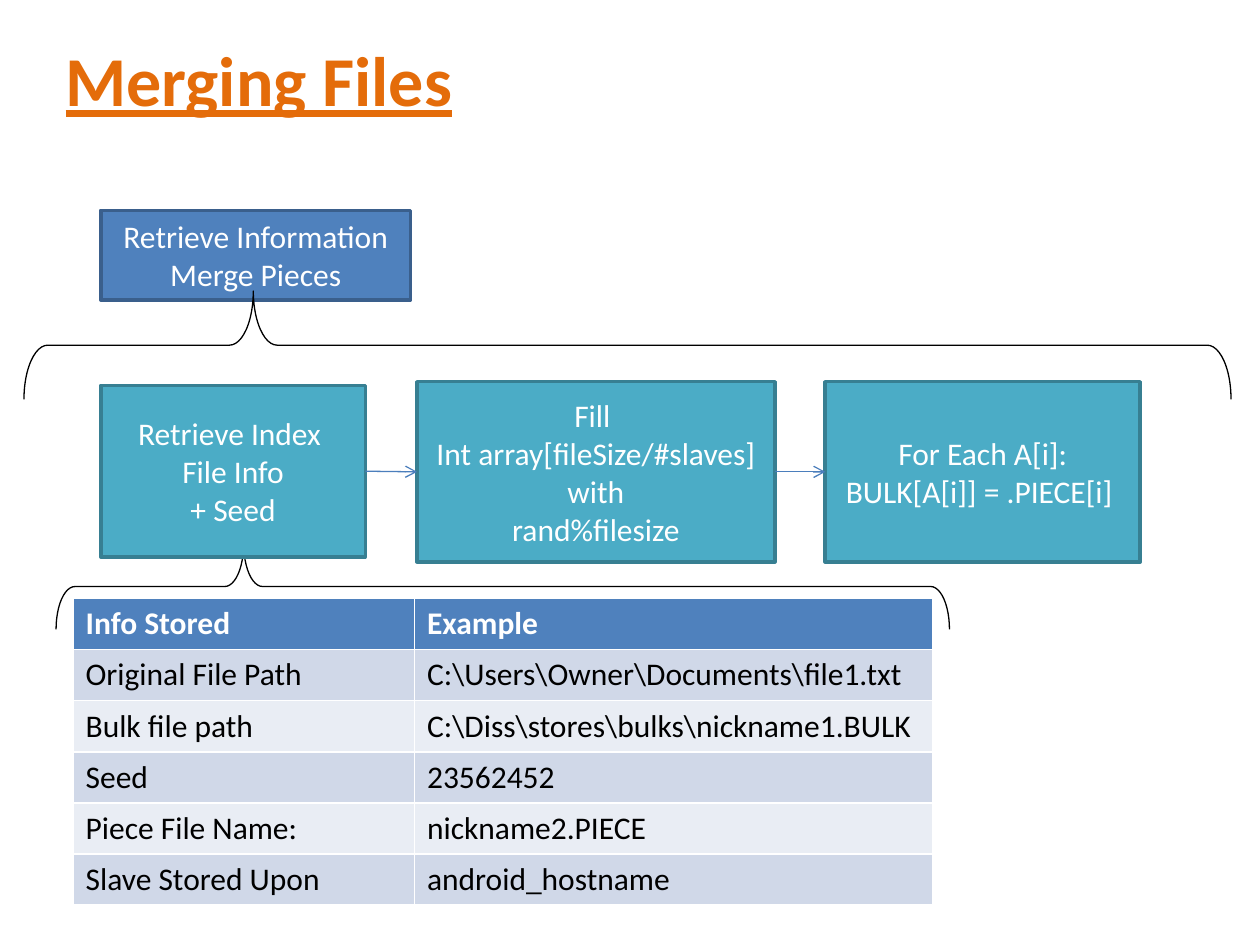
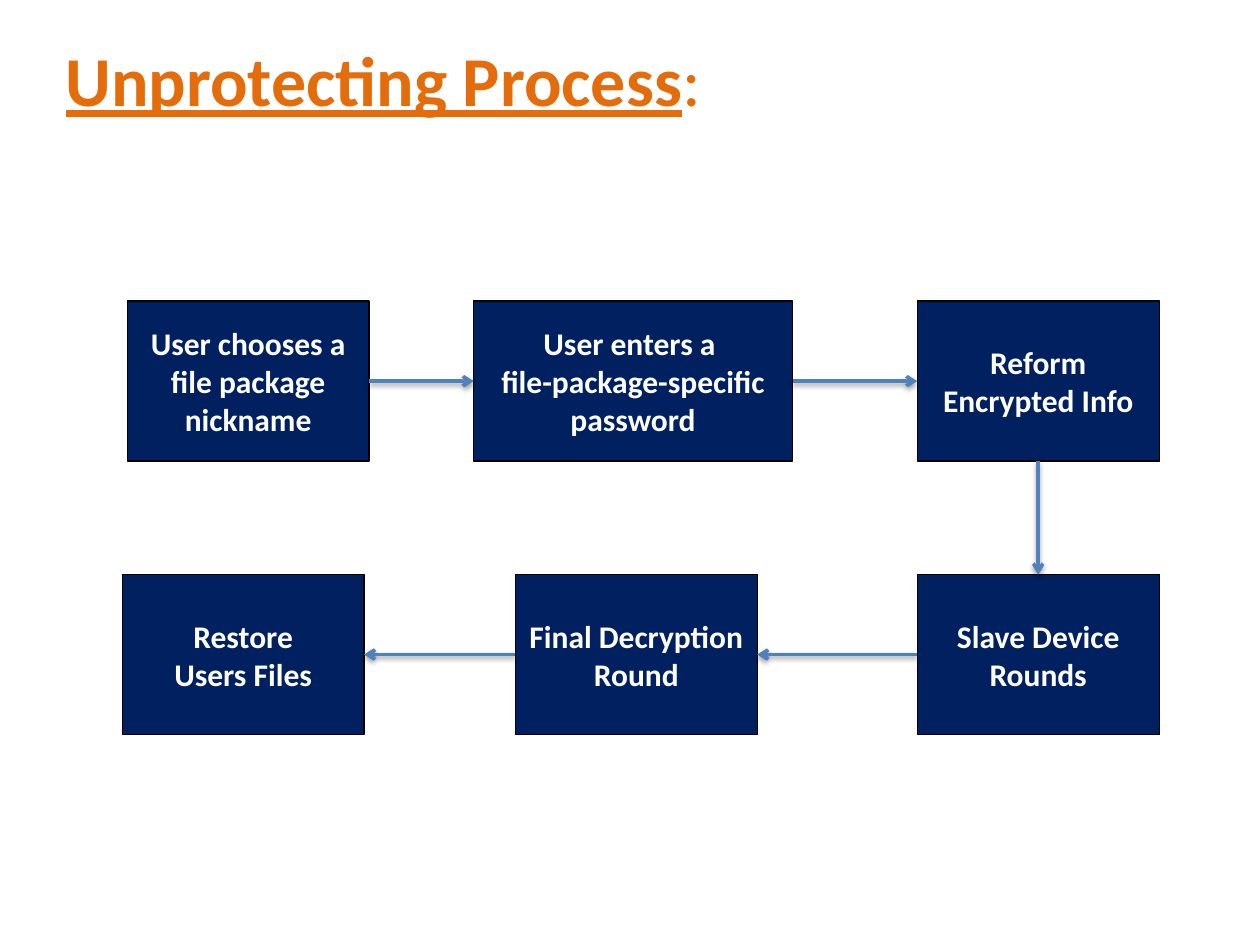
import pptx
import pptx.util
import pptx.dml.color
import pptx.enum.shapes
import pptx.enum.text
import pptx.oxml
import pptx.oxml.ns

PX = 9144
FONT = "Calibri"
WHITE, BLACK = "FFFFFF", "000000"
ORANGE, NAVY = "E46C0A", "002060"
BLUE, TEAL = "4F81BD", "4BACC6"
BANDS = "D0D8E8", "E9EDF4"
KIND = pptx.enum.shapes.MSO_SHAPE
ALIGN = pptx.enum.text.PP_ALIGN
MIDDLE = pptx.enum.text.MSO_ANCHOR.MIDDLE
TOP, LEFT, BOTTOM, RIGHT = range(4)

INFO = [
    ("Info Stored", "Example"),
    ("Original File Path", r"C:\Users\Owner\Documents\file1.txt"),
    ("Bulk file path", r"C:\Diss\stores\bulks\nickname1.BULK"),
    ("Seed", "23562452"),
    ("Piece File Name:", "nickname2.PIECE"),
    ("Slave Stored Upon", "android_hostname"),
]


def px(*nums):
    return [pptx.util.Emu(round(num * PX)) for num in nums]


def tint(code):
    return pptx.dml.color.RGBColor.from_string(code)


def paint(fill, code):
    fill.solid()
    fill.fore_color.rgb = tint(code)


def stroke(line, code, width):
    paint(line.fill, code)
    line.width = pptx.util.Pt(width)


def write(para, text, size=18, color=WHITE, bold=False, under=False):
    run = para.add_run()
    run.text = text
    font = run.font
    font.name, font.size = FONT, pptx.util.Pt(size)
    font.bold, font.underline = bold, under
    font.color.rgb = tint(color)


def start(deck, text, tail=""):
    slide = deck.slides.add_slide(deck.slide_layouts[5])
    title = slide.shapes.title
    title.left, title.top, title.width, title.height = px(42, 0, 900, 125)
    frame = title.text_frame
    frame.vertical_anchor = MIDDLE
    para = frame.paragraphs[0]
    para.alignment = ALIGN.LEFT
    write(para, text, size=40, color=ORANGE, bold=True, under=True)
    if tail:
        write(para, tail, size=40, color=ORANGE)
    return slide


def box(slide, place, text, fill, edge, width, bold=False, kind=KIND.RECTANGLE):
    shape = slide.shapes.add_shape(kind, *px(*place))
    shape.shadow.inherit = False
    paint(shape.fill, fill)
    stroke(shape.line, edge, width)
    frame = shape.text_frame
    frame.word_wrap = True
    frame.vertical_anchor = MIDDLE
    for num, part in enumerate(text.split("\n")):
        para = frame.add_paragraph() if num else frame.paragraphs[0]
        para.alignment = ALIGN.CENTER
        write(para, part, bold=bold)
    return shape


def brace(slide, place, curl, tip):
    shape = slide.shapes.add_shape(KIND.LEFT_BRACE, *px(*place))
    shape.rotation = 90
    shape.shadow.inherit = False
    shape.fill.background()
    stroke(shape.line, BLACK, 0.75)
    shape.adjustments[0], shape.adjustments[1] = curl, tip


def arrow(slide, one, exit, two, entry, color, width, shade=False):
    line = slide.shapes.add_connector(
        pptx.enum.shapes.MSO_CONNECTOR.STRAIGHT, 0, 0, 0, 0)
    line.begin_connect(one, exit)
    line.end_connect(two, entry)
    stroke(line.line, color, width)
    space = pptx.oxml.ns.nsdecls("a")
    props = line._element.spPr
    head = pptx.oxml.parse_xml(f'<a:tailEnd {space} type="arrow"/>')
    props.find(pptx.oxml.ns.qn("a:ln")).append(head)
    blur = (
        '<a:outerShdw blurRad="39370" dist="20320" dir="5400000" rotWithShape="0">'
        '<a:srgbClr val="000000"><a:alpha val="38000"/></a:srgbClr></a:outerShdw>'
    ) if shade else ""
    props.append(pptx.oxml.parse_xml(f"<a:effectLst {space}>{blur}</a:effectLst>"))


def grid(slide, rows, place, widths):
    table = slide.shapes.add_table(len(rows), len(widths), *px(*place)).table
    for col, width in zip(table.columns, px(*widths)):
        col.width = width
    for num, row in enumerate(rows):
        top = num == 0
        for col, text in enumerate(row):
            cell = table.cell(num, col)
            paint(cell.fill, BLUE if top else BANDS[(num - 1) % 2])
            write(cell.text_frame.paragraphs[0], text,
                  color=WHITE if top else BLACK, bold=top)


def merge(deck):
    slide = start(deck, "Merging Files")
    brace(slide, (365, 111, 68, 709), 0.22, 0.79)
    box(slide, (80, 167, 246, 71), "Retrieve Information\nMerge Pieces",
        BLUE, "3A5F8C", 2)
    brace(slide, (455, -205, 86, 958), 0.22, 0.81)
    steps = [
        box(slide, place, text, TEAL, "377F92", 2, kind=KIND.FLOWCHART_PROCESS)
        for place, text in [
            ((80, 306, 210, 136), "Retrieve Index \nFile Info\n+ Seed"),
            ((331, 303, 284, 143),
             "Fill \nInt array[fileSize/#slaves]\nwith\nrand%filesize"),
            ((655, 303, 250, 143), "For Each A[i]:\nBULK[A[i]] = .PIECE[i] "),
        ]
    ]
    for one, two in zip(steps, steps[1:]):
        arrow(slide, one, RIGHT, two, LEFT, "4B7EBC", 0.75)
    grid(slide, INFO, (58, 475, 682, 240), (271, 411))


def unlock(deck):
    slide = start(deck, "Unprotecting Process", ":")
    steps = [
        box(slide, (left, top, width, 127), text, NAVY, BLACK, 0.75, bold=True)
        for left, top, width, text in [
            (101, 239, 192, "User chooses a file package nickname"),
            (376, 239, 253, "User enters a \nfile-package-specific password"),
            (728, 239, 192, "Reform\nEncrypted Info"),
            (728, 456, 192, "Slave Device Rounds"),
            (409, 456, 192, "Final Decryption Round"),
            (97, 456, 192, "Restore\nUsers Files"),
        ]
    ]
    sides = [(RIGHT, LEFT)] * 2 + [(BOTTOM, TOP)] + [(LEFT, RIGHT)] * 2
    for one, two, (exit, entry) in zip(steps, steps[1:], sides):
        arrow(slide, one, exit, two, entry, BLUE, 2, shade=True)


def main():
    deck = pptx.Presentation()
    deck.slide_width, deck.slide_height = px(1000, 750)
    merge(deck)
    unlock(deck)
    deck.save("out.pptx")


if __name__ == "__main__":
    main()
